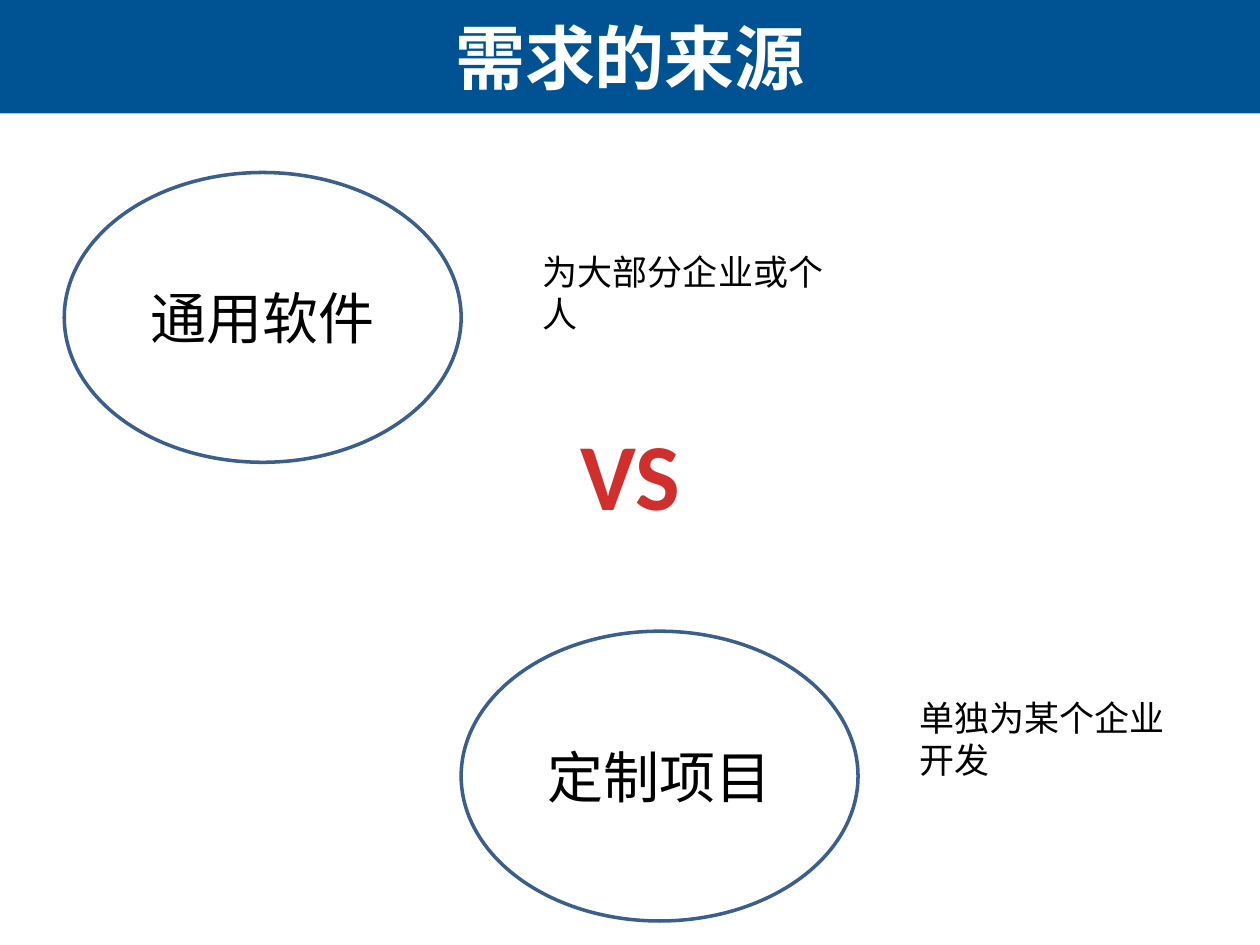
"""Build a slide that contrasts two sources of software requirements."""
from pptx import Presentation
from pptx.dml.color import RGBColor
from pptx.enum.shapes import MSO_SHAPE
from pptx.enum.text import MSO_ANCHOR, MSO_AUTO_SIZE, PP_ALIGN
from pptx.util import Pt

RECTANGLE, OVAL = MSO_SHAPE.RECTANGLE, MSO_SHAPE.OVAL
MIDDLE, TOP = MSO_ANCHOR.MIDDLE, MSO_ANCHOR.TOP
CENTER, LEFT = PP_ALIGN.CENTER, PP_ALIGN.LEFT
NO_FIT, GROW = MSO_AUTO_SIZE.NONE, MSO_AUTO_SIZE.SHAPE_TO_FIT_TEXT

BANNER_BLUE = RGBColor(0x00, 0x53, 0x92)
OUTLINE_BLUE = RGBColor(0x3A, 0x5F, 0x8C)
VERSUS_RED = RGBColor(0xD0, 0x2F, 0x2C)
WHITE = RGBColor(0xFF, 0xFF, 0xFF)
BLACK = RGBColor(0x00, 0x00, 0x00)

WIDTH, HEIGHT, BANNER_HEIGHT = 720, 540, 64.8
OVAL_SIZE = (226.8, 165.6)


class RequirementSlide:
    """Hold the text style and the current slide."""

    font_name = "Calibri"

    def __init__(self, presentation):
        self.slide = presentation.slides.add_slide(presentation.slide_layouts[5])

    def set_text(self, shape, text, size, color=BLACK, align=LEFT, frame_format=None, **font_format):
        frame = shape.text_frame
        frame_values = {"word_wrap": True, "vertical_anchor": MIDDLE, "auto_size": NO_FIT}
        for name, value in (frame_values | (frame_format or {})).items():
            setattr(frame, name, value)
        paragraph = frame.paragraphs[0]
        paragraph.alignment = align
        run = paragraph.add_run()
        run.text = text
        for name, value in ({"name": self.font_name, "size": Pt(size)} | font_format).items():
            setattr(run.font, name, value)
        run.font.color.rgb = color

    def banner_title(self, text):
        banner = self.slide.shapes.add_shape(RECTANGLE, 0, 0, Pt(WIDTH), Pt(BANNER_HEIGHT))
        banner.shadow.inherit = False
        banner.fill.solid()
        banner.fill.fore_color.rgb = BANNER_BLUE
        banner.line.fill.background()
        title = self.slide.shapes.title
        place = {"left": 0, "top": 0, "width": Pt(WIDTH), "height": Pt(BANNER_HEIGHT)}
        for name, value in place.items():
            setattr(title, name, value)
        banner._element.addnext(title._element)
        self.set_text(title, text, 40, WHITE, CENTER, name="Arial", bold=True)

    def oval(self, text, left, top):
        shape = self.slide.shapes.add_shape(OVAL, Pt(left), Pt(top), *map(Pt, OVAL_SIZE))
        shape.shadow.inherit = False
        shape.fill.background()
        shape.line.color.rgb = OUTLINE_BLUE
        shape.line.width = Pt(2)
        self.set_text(shape, text, 32, align=CENTER)

    def label(self, text, box, size=20, wrap=True, **text_format):
        shape = self.slide.shapes.add_textbox(*map(Pt, box))
        frame_format = {"word_wrap": wrap, "vertical_anchor": TOP, "auto_size": GROW}
        self.set_text(shape, text, size, frame_format=frame_format, **text_format)


def main():
    presentation = Presentation()
    presentation.slide_width, presentation.slide_height = Pt(WIDTH), Pt(HEIGHT)
    page = RequirementSlide(presentation)
    page.banner_title("需求的来源")
    page.oval("通用软件", 36.7, 98.6)
    page.oval("定制项目", 263.5, 360.7)
    page.label("为大部分企业或个人", (303.1, 139.7, 187.2, 55.4))
    page.label("单独为某个企业开发", (518.4, 394.6, 169.9, 55.4))
    page.label("VS", (324, 234, 72, 72.7), 54, wrap=False,
               color=VERSUS_RED, align=CENTER, bold=True)
    presentation.save("out.pptx")


if __name__ == "__main__":
    main()
